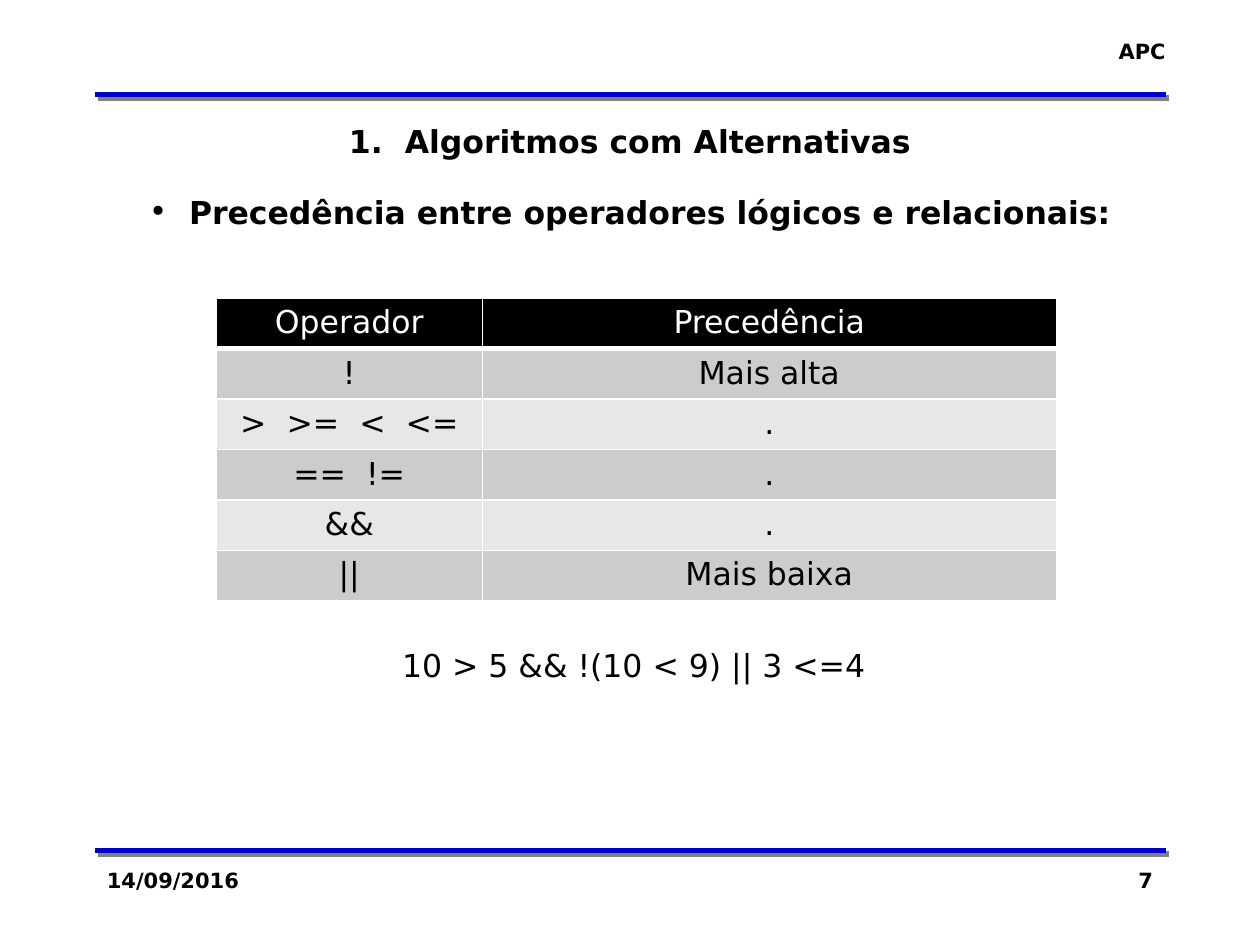
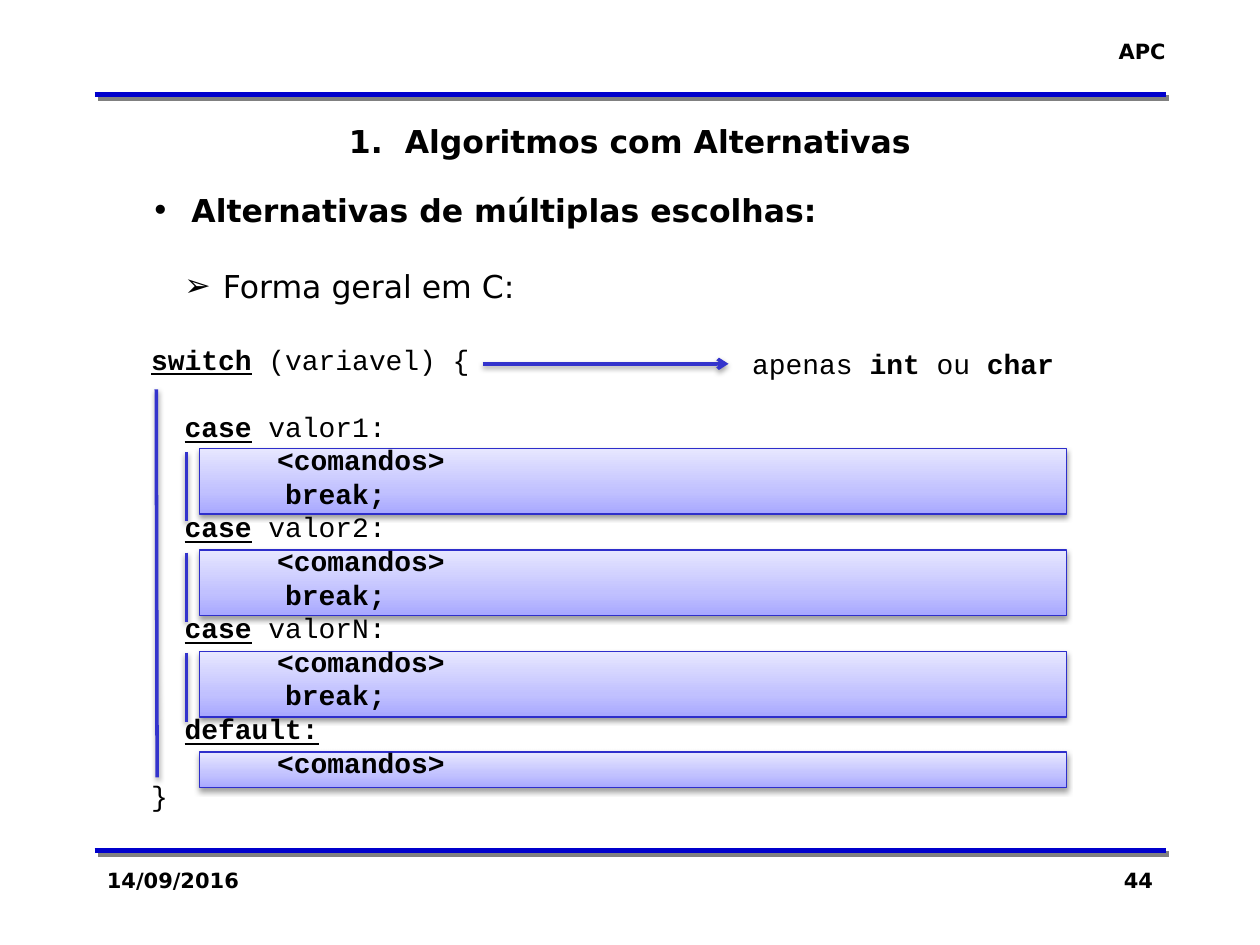
import pptx
import pptx.dml.color
import pptx.enum.shapes
import pptx.enum.text
import pptx.oxml.ns
import pptx.util
from lxml import etree

Pt = pptx.util.Pt
RGBColor = pptx.dml.color.RGBColor
ALIGN = pptx.enum.text.PP_ALIGN
ANCHOR = pptx.enum.text.MSO_ANCHOR
qn = pptx.oxml.ns.qn

BLACK = RGBColor(0x00, 0x00, 0x00)
WHITE = RGBColor(0xFF, 0xFF, 0xFF)
RULE_BLUE = RGBColor(0x00, 0x00, 0xCC)
RULE_SHADOW = RGBColor(0x80, 0x80, 0x80)
BAR_BLUE = RGBColor(0x33, 0x33, 0xCC)
BOX_LINE = RGBColor(0x2E, 0x2E, 0xCB)
BOX_STOPS = [
    (0, RGBColor(0xA7, 0xA7, 0xFF)),
    (35, RGBColor(0xC1, 0xC1, 0xFF)),
    (100, RGBColor(0xE7, 0xE7, 0xFF)),
]
ROW_FILLS = [RGBColor(0xE7, 0xE7, 0xE7), RGBColor(0xCC, 0xCC, 0xCC)]

SANS = "DejaVu Sans"
MONO = "Courier New"
TEXT_PITCH = 21.6
CODE_PITCH = 19.2
TITLE = ["1.", "Algoritmos com Alternativas"]
TITLE_GAP = 6.3
CELL_GAP = 5.7
DATE = "14/09/2016"

OPERATORS = [
    (["Operador"], ["Precedência"]),
    (["!"], ["Mais alta"]),
    ([">", ">=", "<", "<="], ["."]),
    (["==", "!="], ["."]),
    (["&&"], ["."]),
    (["||"], ["Mais baixa"]),
]

COMMANDS = [("<comandos>", "b")]
BREAK = [("        break;", "b")]


def case_lines(value):
    return [[("  ", ""), ("case", "bu"), (f" {value}:", "")], COMMANDS, BREAK]


TYPE_NOTE = [("apenas ", ""), ("int", "b"), (" ou ", ""), ("char", "b")]
CODE = [
    [("switch", "bu"), (" (variavel) {", "")],
    *case_lines("valor1"),
    *case_lines("valor2"),
    *case_lines("valorN"),
    [("  ", ""), ("default:", "bu")],
    COMMANDS,
    [("}", "")],
]


def sub(parent, tag, **attrs):
    return etree.SubElement(parent, qn(tag), {k: str(v) for k, v in attrs.items()})


def set_font(p, size, name=SANS, bold=False, color=BLACK):
    p.font.size = Pt(size)
    p.font.name = name
    p.font.bold = bold
    p.font.color.rgb = color


def add_words(p, words, gap):
    for i, word in enumerate(words):
        if i:
            r = p.add_run()
            r.text = " "
            r._r.get_or_add_rPr().set("spc", str(round(gap * 100)))
        p.add_run().text = word


def set_shadow(sp, color, alpha, blur, dist, angle):
    effects = sub(sp._element.spPr, "a:effectLst")
    shadow = sub(effects, "a:outerShdw", blurRad=Pt(blur), dist=Pt(dist),
                 dir=angle * 60000, algn="ctr", rotWithShape=0)
    clr = sub(shadow, "a:srgbClr", val=color)
    sub(clr, "a:alpha", val=alpha * 1000)


def soft_shadow(sp):
    set_shadow(sp, BLACK, 38, 3.1, 1.6, 90)


def add_line(slide, x1, y1, x2, y2, color, width):
    kind = pptx.enum.shapes.MSO_CONNECTOR.STRAIGHT
    cn = slide.shapes.add_connector(kind, Pt(x1), Pt(y1), Pt(x2), Pt(y2))
    cn.line.color.rgb = color
    cn.line.width = Pt(width)
    return cn


def add_rule(slide, left, top, width):
    cn = add_line(slide, left, top, left + width, top, RULE_BLUE, 3)
    set_shadow(cn, RULE_SHADOW, 100, 0, 2.8, 45)


def add_bar(slide, x1, y1, x2, y2):
    cn = add_line(slide, x1, y1, x2, y2, BAR_BLUE, 2)
    soft_shadow(cn)
    return cn


def add_box(slide, left, top, width, height):
    sp = slide.shapes.add_textbox(Pt(left), Pt(top), Pt(width), Pt(height))
    sp.text_frame.word_wrap = True
    return sp.text_frame.paragraphs[0]


def add_label(slide, text, left, top, width, height, align):
    p = add_box(slide, left, top, width, height)
    p.text = text
    p.alignment = align
    set_font(p, 12, bold=True)


def place(sp, left, top, width, height):
    sp.left, sp.top, sp.width, sp.height = Pt(left), Pt(top), Pt(width), Pt(height)
    tf = sp.text_frame
    tf.word_wrap = True
    tf.auto_size = pptx.enum.text.MSO_AUTO_SIZE.NONE
    tf.vertical_anchor = ANCHOR.TOP
    return tf


def add_frame(slide, number, left=54, width=612):
    for top in (54, 486):
        add_rule(slide, left, top, width)
    right = left + width
    add_label(slide, "APC", right - 64.8, 18.5, 72, 21.6, ALIGN.RIGHT)
    add_label(slide, DATE, left, 492, 150, 36, ALIGN.LEFT)
    add_label(slide, number, right - 150, 492, 150, 36, ALIGN.RIGHT)
    tf = place(slide.shapes.title, left, 66.2, width, 28.8)
    p = tf.paragraphs[0]
    add_words(p, TITLE, TITLE_GAP)
    p.alignment = ALIGN.CENTER
    set_font(p, 18, bold=True)


def format_line(p, pitch, before=0, align=ALIGN.LEFT, bullet=None, margin=0, hang=0):
    pPr = p._p.get_or_add_pPr()
    pPr.set("marL", str(Pt(margin)))
    pPr.set("indent", str(-Pt(hang)))
    if bullet:
        sub(pPr, "a:buFont", typeface=SANS)
        sub(pPr, "a:buChar", char=bullet)
    else:
        sub(pPr, "a:buNone")
    p.alignment = align
    p.line_spacing = Pt(pitch)
    p.space_before = Pt(before)
    p.space_after = Pt(0)


def add_heading(tf, text):
    p = tf.paragraphs[0]
    p.text = text
    format_line(p, TEXT_PITCH, bullet="•", margin=23, hang=23)
    set_font(p, 18, bold=True)


def precedence_body(slide, left, top, width, height):
    tf = place(slide.placeholders[1], left, top, width, height)
    add_heading(tf, "Precedência entre operadores lógicos e relacionais:")
    p = tf.add_paragraph()
    p.text = "10 > 5 && !(10 < 9) || 3 <=4"
    format_line(p, TEXT_PITCH, before=11 * TEXT_PITCH, align=ALIGN.CENTER)
    set_font(p, 18)


def format_cell(cell, words, header, fill):
    tcPr = cell._tc.get_or_add_tcPr()
    for side in "LRTB":
        weight = 3 if header and side == "B" else 1
        ln = sub(tcPr, f"a:ln{side}", w=Pt(weight))
        sub(sub(ln, "a:solidFill"), "a:srgbClr", val=WHITE)
    cell.fill.solid()
    cell.fill.fore_color.rgb = fill
    p = cell.text_frame.paragraphs[0]
    add_words(p, words, CELL_GAP)
    p.alignment = ALIGN.CENTER
    set_font(p, 18, color=WHITE if header else BLACK)


def operator_table(slide, left, top, width, row_height):
    rows = len(OPERATORS)
    table = slide.shapes.add_table(
        rows, 2, Pt(left), Pt(top), Pt(width), Pt(rows * row_height)).table
    first = 152
    table.columns[0].width = Pt(first)
    table.columns[1].width = Pt(width - first)
    for r, row in enumerate(OPERATORS):
        table.rows[r].height = Pt(row_height)
        fill = ROW_FILLS[r % 2] if r else BLACK
        for c, words in enumerate(row):
            format_cell(table.cell(r, c), words, r == 0, fill)


def command_box(slide, left, top, width, height):
    kind = pptx.enum.shapes.MSO_SHAPE.RECTANGLE
    sp = slide.shapes.add_shape(kind, Pt(left), Pt(top), Pt(width), Pt(height))
    sp.fill.gradient()
    sp.fill.gradient_angle = 90
    stops = sp._element.spPr.find(qn("a:gradFill")).find(qn("a:gsLst"))
    for stop in list(stops):
        stops.remove(stop)
    for pos, color in BOX_STOPS:
        sub(sub(stops, "a:gs", pos=pos * 1000), "a:srgbClr", val=color)
    sp.line.color.rgb = BOX_LINE
    sp.line.width = Pt(0.75)
    soft_shadow(sp)


def command_boxes(slide, left, top, width, pitch):
    for i in range(3):
        command_box(slide, left, top + i * pitch, width, 37.4)
    command_box(slide, left, top + 3 * pitch - 0.5, width, 20.2)


def scope_marks(slide, left, top, pitch):
    add_bar(slide, left, top, left + 0.5, top + 221.8)
    for i in range(3):
        y = top + 36 + i * pitch
        add_bar(slide, left + 17.4, y, left + 17.4, y + 39.5)


def type_note(slide, left, top, width, height):
    middle = top + height / 2
    arrow = add_bar(slide, left, middle, left + 140.5, middle)
    sub(arrow.line._get_or_add_ln(), "a:tailEnd", type="arrow")
    p = add_box(slide, left + 147, top, width - 147, height)
    code_line(p, TYPE_NOTE)


def code_line(p, runs, before=0):
    format_line(p, CODE_PITCH, before=before, margin=72 if runs is COMMANDS else 0)
    set_font(p, 16, MONO)
    for text, style in runs:
        r = p.add_run()
        r.text = text
        if "b" in style:
            r.font.bold = True
        if "u" in style:
            r.font.underline = True


def switch_body(slide, left, top, width, height):
    body = slide.placeholders[1]
    slide.shapes._spTree.append(body._element)
    tf = place(body, left, top, width, height)
    add_heading(tf, "Alternativas de múltiplas escolhas:")
    p = tf.add_paragraph()
    p.text = "Forma geral em C:"
    format_line(p, TEXT_PITCH, before=TEXT_PITCH, bullet="➢", margin=41, hang=22)
    set_font(p, 18)
    gaps = {0: 21.3, 1: CODE_PITCH}
    for i, runs in enumerate(CODE):
        code_line(tf.add_paragraph(), runs, gaps.get(i, 0))


def new_slide(prs, number):
    slide = prs.slides.add_slide(prs.slide_layouts[1])
    add_frame(slide, number)
    return slide


def precedence_slide(prs):
    slide = new_slide(prs, "7")
    precedence_body(slide, 77.8, 106.4, 568.8, 312.5)
    operator_table(slide, 123.6, 170.4, 480, 28.8)


def switch_slide(prs):
    slide = new_slide(prs, "44")
    command_boxes(slide, 114, 256.3, 495.4, 58)
    switch_body(slide, 79.2, 105.8, 568.8, 406.8)
    scope_marks(slide, 89.3, 222.5, 57.3)
    type_note(slide, 275.8, 194.7, 360, 26.4)


def main():
    prs = pptx.Presentation()
    prs.slide_width, prs.slide_height = Pt(720), Pt(540)
    precedence_slide(prs)
    switch_slide(prs)
    prs.save("out.pptx")


if __name__ == "__main__":
    main()
